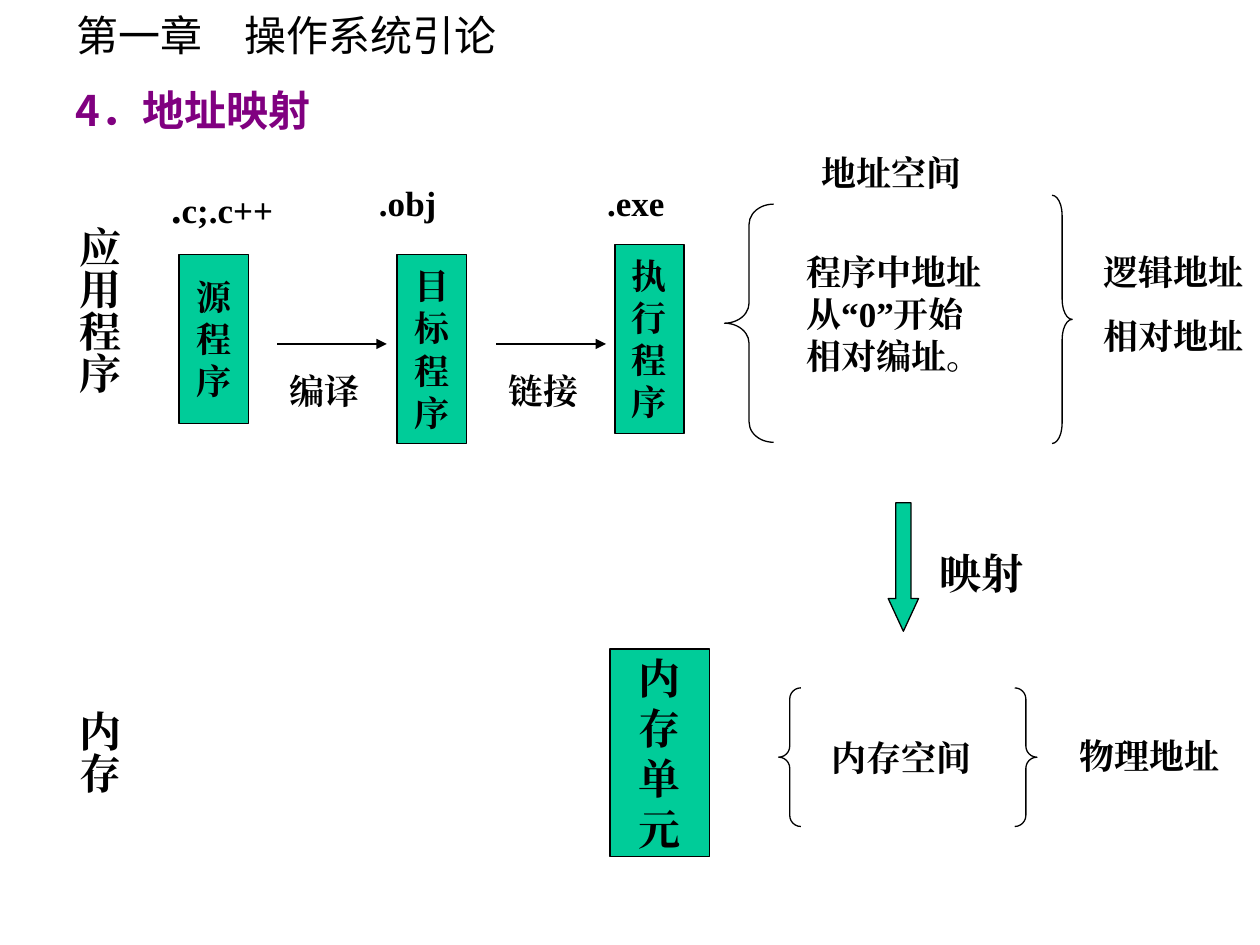
"""Build the address-mapping slide of an operating systems course."""
from dataclasses import dataclass
from typing import Any, Optional

import lxml.etree
import pptx
import pptx.dml.color
import pptx.enum.lang
import pptx.enum.shapes
import pptx.enum.text
import pptx.oxml
import pptx.oxml.ns
import pptx.util

Inches = pptx.util.Inches
Pt = pptx.util.Pt
Shape = pptx.enum.shapes.MSO_SHAPE
Align = pptx.enum.text.PP_ALIGN


@dataclass(frozen=True)
class Theme:
    ink: str = "000000"
    heading: str = "800080"
    fill: str = "00CC99"
    sans: str = "Noto Sans CJK SC"
    serif: str = "Times New Roman"
    large: float = 24
    normal: float = 20
    line: float = 0.75


@dataclass(frozen=True)
class Box:
    left: float
    top: float
    width: float
    height: float

    def lengths(self) -> tuple:
        return tuple(Inches(v) for v in (self.left, self.top, self.width, self.height))


@dataclass(frozen=True)
class Label:
    text: str
    box: Box
    size: float
    lead_size: Optional[float] = None


@dataclass(frozen=True)
class Block:
    text: str
    box: Box
    size: float


@dataclass(frozen=True)
class Outline:
    kind: Any
    box: Box
    adjustments: tuple
    fill: Optional[str] = None


THEME = Theme()
ARROW_Y, ARROW_LENGTH = 2.73, 0.87
ARROW_STARTS = (2.2, 3.94)

LABELS = (
    Label(".c;.c++", Box(1.26, 1.39, 1.06, 0.5), THEME.normal, THEME.large),
    Label(".obj", Box(2.91, 1.39, 1.06, 0.44), THEME.normal),
    Label(".exe", Box(4.72, 1.39, 1.06, 0.44), THEME.normal),
    Label("编译", Box(2.2, 2.88, 0.87, 0.44), THEME.normal),
    Label("链接", Box(3.94, 2.88, 0.87, 0.44), THEME.normal),
    Label("地址空间", Box(6.42, 1.15, 1.34, 0.44), THEME.normal),
    Label("程序中地址从“0”开始相对编址。", Box(6.3, 1.94, 1.65, 1.1), THEME.normal),
    Label("逻辑地址\n相对地址", Box(8.66, 1.94, 1.34, 0.94), THEME.normal),
    Label("映射", Box(7.36, 4.3, 1.18, 0.5), THEME.large),
    Label("内存空间", Box(6.5, 5.8, 1.34, 0.44), THEME.normal),
    Label("物理地址", Box(8.47, 5.78, 1.34, 0.44), THEME.normal),
)
SIDE_LABELS = (
    Label("应用程序", Box(0.44, 1.7, 0.6, 1.44), THEME.large),
    Label("内存", Box(0.44, 5.54, 0.6, 0.77), THEME.large),
)
BLOCKS = (
    Block("源程序", Box(1.42, 2.02, 0.55, 1.34), THEME.normal),
    Block("目标程序", Box(3.15, 2.02, 0.55, 1.5), THEME.normal),
    Block("执行程序", Box(4.88, 1.94, 0.55, 1.5), THEME.normal),
    Block("内存单元", Box(4.84, 5.15, 0.79, 1.65), THEME.large),
)
OUTLINES = (
    Outline(Shape.LEFT_BRACE, Box(5.75, 1.62, 0.39, 1.89), (0.41, 0.5)),
    Outline(Shape.RIGHT_BRACE, Box(8.35, 1.55, 0.16, 1.97), (1.0, 0.5)),
    Outline(Shape.DOUBLE_BRACE, Box(6.18, 5.46, 2.05, 1.1), (0.08,)),
    Outline(Shape.DOWN_ARROW, Box(7.05, 3.99, 0.24, 1.02), (0.5, 1.08), THEME.fill),
)


def rgb(color: str) -> pptx.dml.color.RGBColor:
    """Turn a hex string into a colour."""
    return pptx.dml.color.RGBColor.from_string(color)


def write(tf: Any, text: str, *, size: float, font: str = THEME.serif,
          color: str = THEME.ink, bold: bool = True, align: Any = Align.LEFT,
          gap: float = 0, spacing: Optional[float] = None,
          lead_size: Optional[float] = None) -> None:
    """Write one paragraph per line of text, with an optional larger first letter."""
    for i, line in enumerate(text.split("\n")):
        p = tf.paragraphs[0] if i == 0 else tf.add_paragraph()
        p.alignment = align
        p.line_spacing = spacing
        if i:
            p.space_before = Pt(gap)
        parts = [(line[0], lead_size), (line[1:], size)] if lead_size else [(line, size)]
        for part, part_size in parts:
            r = p.add_run()
            r.text = part
            r.font.size = Pt(part_size)
            r.font.bold = bold
            r.font.name = font
            r.font.color.rgb = rgb(color)
            r.font.language_id = pptx.enum.lang.MSO_LANGUAGE_ID.SIMPLIFIED_CHINESE
            latin = r.font._element.find(pptx.oxml.ns.qn("a:latin"))
            ea = lxml.etree.Element(pptx.oxml.ns.qn("a:ea"), typeface=font)
            latin.addnext(ea)


def add_text(s: Any, box: Box, text: str, wrap: bool = True,
             vertical: bool = False, **style: Any) -> None:
    """Add a text box, upright or set in vertical columns."""
    tf = s.shapes.add_textbox(*box.lengths()).text_frame
    tf.word_wrap = wrap
    if vertical:
        tf._txBody.bodyPr.set("vert", "eaVert")
        tf.margin_left = tf.margin_right = Inches(0.05)
        tf.margin_top = tf.margin_bottom = Inches(0.1)
    write(tf, text, **style)


def add_outline(s: Any, outline: Outline) -> Any:
    """Add a preset shape with a thin line and an optional fill."""
    sp = s.shapes.add_shape(outline.kind, *outline.box.lengths())
    sp.shadow.inherit = False
    for i, value in enumerate(outline.adjustments):
        sp.adjustments[i] = value
    if outline.fill:
        sp.fill.solid()
        sp.fill.fore_color.rgb = rgb(outline.fill)
    else:
        sp.fill.background()
    sp.line.color.rgb = rgb(THEME.ink)
    sp.line.width = Pt(THEME.line)
    return sp


def add_block(s: Any, block: Block) -> None:
    """Add a filled rectangle with one character per line."""
    tf = add_outline(s, Outline(Shape.RECTANGLE, block.box, (), THEME.fill)).text_frame
    tf.word_wrap = False
    tf.vertical_anchor = pptx.enum.text.MSO_ANCHOR.MIDDLE
    write(tf, "\n".join(block.text), size=block.size, align=Align.CENTER)


def add_arrow(s: Any, left: float) -> None:
    """Add a horizontal arrow between two program blocks."""
    cx = s.shapes.add_connector(
        pptx.enum.shapes.MSO_CONNECTOR.STRAIGHT, Inches(left), Inches(ARROW_Y),
        Inches(left + ARROW_LENGTH), Inches(ARROW_Y))
    cx.line.color.rgb = rgb(THEME.ink)
    cx.line.width = Pt(THEME.line)
    qn = pptx.oxml.ns.qn
    lxml.etree.SubElement(cx.line._get_or_add_ln(), qn("a:tailEnd"), type="triangle")
    lxml.etree.SubElement(cx._element.spPr, qn("a:effectLst"))


def main() -> None:
    """Build the slide and save it."""
    prs = pptx.Presentation()
    prs.slide_width, prs.slide_height = Inches(10), Inches(7.5)
    s = prs.slides.add_slide(prs.slide_layouts[6])
    add_text(s, Box(0.51, 0.03, 3.61, 0.5), "第一章　操作系统引论", wrap=False,
             size=THEME.large, font=THEME.sans, bold=False)
    add_text(s, Box(0.5, 0.58, 9.17, 1.19), "4．地址映射", size=THEME.large,
             font=THEME.sans, color=THEME.heading, align=Align.JUSTIFY, spacing=1.1)
    for left in ARROW_STARTS:
        add_arrow(s, left)
    for block in BLOCKS:
        add_block(s, block)
    for outline in OUTLINES:
        add_outline(s, outline)
    for label in LABELS:
        add_text(s, label.box, label.text, size=label.size, gap=12.5,
                 lead_size=label.lead_size)
    for label in SIDE_LABELS:
        add_text(s, label.box, label.text, wrap=False, vertical=True, size=label.size)
    prs.save("out.pptx")


if __name__ == "__main__":
    main()
